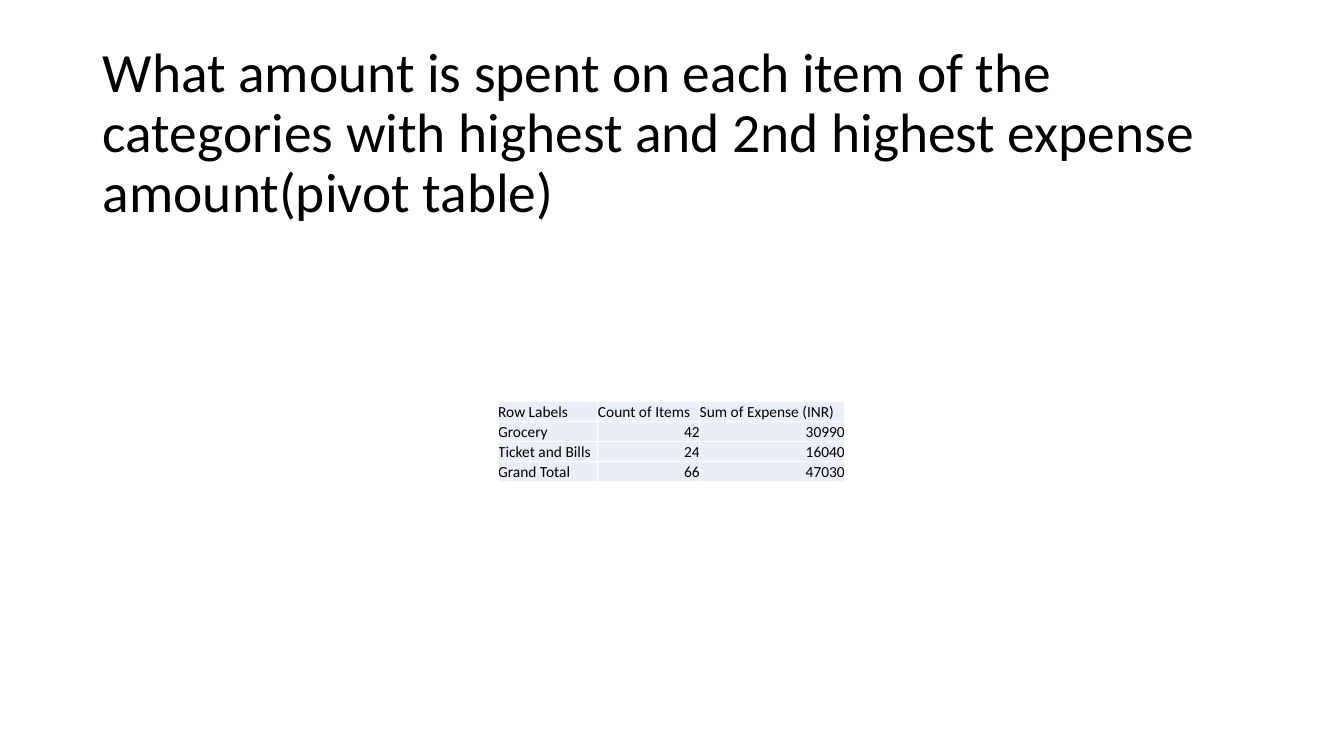
from lxml.etree import SubElement
from pptx import Presentation
from pptx.dml.color import RGBColor
from pptx.enum.text import MSO_ANCHOR as Anchor, MSO_AUTO_SIZE as AutoSize, PP_ALIGN as Align
from pptx.oxml.ns import qn
from pptx.util import Pt

PX = 9144  # 100 px to the inch
FONT = "Calibri"
TITLE = ("What amount is spent on each item of the categories with "
         "highest and 2nd highest expense amount(pivot table)")
COLUMN_WIDTHS = [99, 101, 144]
ROW_HEIGHT = 20
ROWS = [
    ["Row Labels", "Count of Items", "Sum of Expense (INR)"],
    ["Grocery", "42", "30990"],
    ["Ticket and Bills", "24", "16040"],
    ["Grand Total", "66", "47030"],
]


def px(length):
    return length * PX


def color(hex_string):
    return RGBColor.from_string(hex_string)


def write_text(frame, text, size, align=Align.LEFT, spacing=1.0, hex_color="000000"):
    paragraph = frame.paragraphs[0]
    paragraph.alignment = align
    paragraph.line_spacing = spacing
    run = paragraph.add_run()
    run.text = text
    run.font.name = FONT
    run.font.size = Pt(size)
    run.font.color.rgb = color(hex_color)


def add_title(slide, text, left, top, width, height):
    title = slide.shapes.title
    title.left, title.top = px(left), px(top)
    title.width, title.height = px(width), px(height)
    frame = title.text_frame
    frame.word_wrap = True
    frame.auto_size = AutoSize.NONE
    frame.vertical_anchor = Anchor.MIDDLE
    write_text(frame, text, 39.6, spacing=0.9)


def set_borders(cell, hex_color, points):
    properties = cell._tc.get_or_add_tcPr()
    for side in ("a:lnL", "a:lnR", "a:lnT", "a:lnB"):
        line = SubElement(properties, qn(side), w=str(Pt(points)))
        fill = SubElement(line, qn("a:solidFill"))
        SubElement(fill, qn("a:srgbClr"), val=hex_color)


def format_cell(cell, text):
    cell.margin_left = cell.margin_right = cell.margin_top = cell.margin_bottom = 0
    cell.vertical_anchor = Anchor.BOTTOM
    set_borders(cell, "FFFFFF", 1)
    cell.fill.solid()
    cell.fill.fore_color.rgb = color("EAEFF7")
    align = Align.RIGHT if text.isdigit() else Align.LEFT
    write_text(cell.text_frame, text, 11, align=align)


def add_pivot_table(slide, left, top):
    frame = slide.shapes.add_table(
        len(ROWS), len(COLUMN_WIDTHS), px(left), px(top),
        px(sum(COLUMN_WIDTHS)), px(ROW_HEIGHT * len(ROWS)))
    table = frame.table
    table.first_row = table.horz_banding = False
    for column, width in zip(table.columns, COLUMN_WIDTHS):
        column.width = px(width)
    for row, texts in zip(table.rows, ROWS):
        row.height = px(ROW_HEIGHT)
        for cell, text in zip(row.cells, texts):
            format_cell(cell, text)


def main():
    presentation = Presentation()
    presentation.slide_width, presentation.slide_height = px(1333), px(750)
    slide = presentation.slides.add_slide(presentation.slide_layouts[5])
    add_title(slide, TITLE, 92, 40, 1150, 187)
    add_pivot_table(slide, 494, 398)
    presentation.save("out.pptx")


if __name__ == "__main__":
    main()
